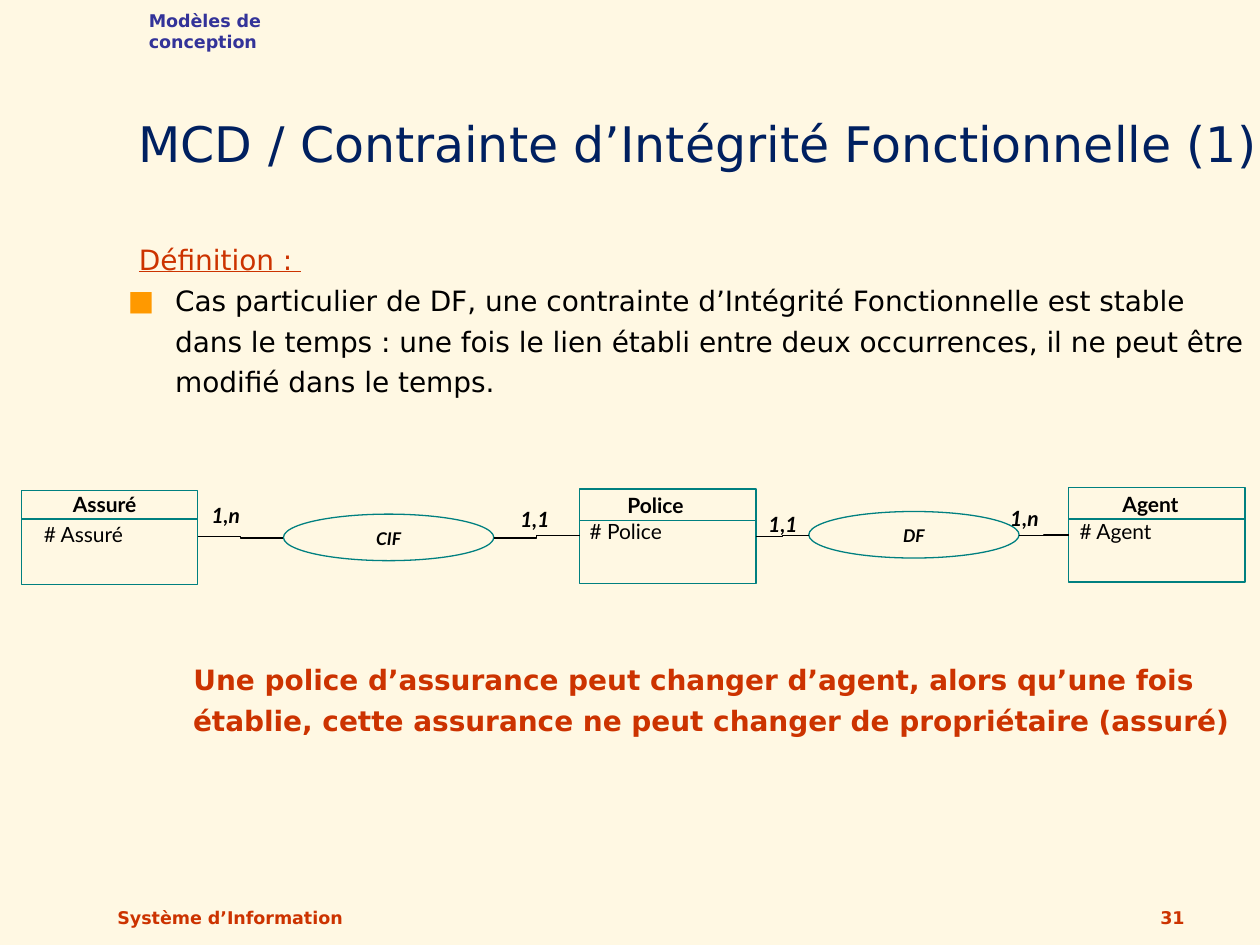
"""Build a slide on functional integrity constraints in a conceptual data model."""
from lxml.etree import SubElement
from pptx import Presentation
from pptx.dml.color import RGBColor
from pptx.enum.shapes import MSO_CONNECTOR as CXN, MSO_SHAPE as SHAPE
from pptx.enum.text import MSO_ANCHOR as ANCHOR, PP_ALIGN as ALIGN
from pptx.oxml.ns import qn
from pptx.util import Pt

C = {"bg": "FFF8E3", "red": "CC3300", "navy": "002060", "black": "000000",
     "violet": "333399", "teal": "008080", "orange": "FF9900"}
SANS, LATO = "DejaVu Sans", "Lato"


def write(p, text, size, color="black", font=SANS, bold=False, italic=False, align=None, spacing=None):
    r = p.add_run()
    r.text = text
    f = r.font
    f.name, f.size, f.bold, f.italic = font, Pt(size), bold, italic
    f.color.rgb = RGBColor.from_string(C[color])
    if align is not None:
        p.alignment = align
    if spacing:
        p.line_spacing = spacing
    return r


def box(x, y, w, h, anchor=ANCHOR.TOP):
    tf = s.shapes.add_textbox(Pt(x), Pt(y), Pt(w), Pt(h)).text_frame
    tf.word_wrap = True
    tf.vertical_anchor = anchor
    return tf


prs = Presentation()
prs.slide_width, prs.slide_height = Pt(720), Pt(540)
s = prs.slides.add_slide(prs.slide_layouts[6])
s.background.fill.solid()
s.background.fill.fore_color.rgb = RGBColor.from_string(C["bg"])

write(box(60, 498, 228, 36, ANCHOR.BOTTOM).paragraphs[0], "Système d’Information", 10, "red", bold=True)
write(box(534, 498, 150, 36, ANCHOR.BOTTOM).paragraphs[0], "31", 10, "red", bold=True, align=ALIGN.RIGHT)
write(box(72, 12, 671, 90, ANCHOR.BOTTOM).paragraphs[0],
      "MCD / Contrainte d’Intégrité Fonctionnelle (1)", 28, "navy")
write(box(78, 2.2, 141.8, 19.4).paragraphs[0], "Modèles de conception", 10, "violet", bold=True)

body = box(66, 126, 654, 150)
heading, definition = body.paragraphs[0], body.add_paragraph()
conclusion = box(66, 366, 654, 150).paragraphs[0]
for p in (heading, definition, conclusion):
    pPr = p._p.get_or_add_pPr()
    pPr.set("marL", str(Pt(27)))
    pPr.set("indent", str(Pt(-27)))
    p.line_spacing = 1.2
pPr = definition._p.get_or_add_pPr()
SubElement(SubElement(pPr, qn("a:buClr")), qn("a:srgbClr"), val=C["orange"])
SubElement(pPr, qn("a:buFont"), typeface=SANS)
SubElement(pPr, qn("a:buChar"), char="■")
write(heading, " ", 20)
write(heading, "Définition : ", 16, "red").font.underline = True
write(definition, "Cas particulier de DF, une contrainte d’Intégrité Fonctionnelle est stable dans le temps : "
      "une fois le lien établi entre deux occurrences, il ne peut être modifié dans le temps.", 16)
write(conclusion, " ", 20, bold=True)
write(conclusion, "Une police d’assurance peut changer d’agent, alors qu’une fois établie, "
      "cette assurance ne peut changer de propriétaire (assuré)", 16, "red", bold=True, align=ALIGN.CENTER)

entities = [("Assuré", 12.2, 280.1, 296.6, (34.6, 275.8, 54.7), (18, 293, 62.6)),
            ("Police", 331.2, 279.4, 297.4, (351.4, 276.5, 50.4), (329.8, 291.6, 57.6)),
            ("Agent", 610.6, 278.6, 296.6, (634.3, 275.8, 49.7), (609.8, 291.6, 58.3))]
shapes = [(SHAPE.RECTANGLE, x, y, 100.8, 54, "") for _, x, y, *_ in entities]
shapes += [(SHAPE.OVAL, 162, 293.8, 120.2, 26.6, "CIF"), (SHAPE.OVAL, 462.2, 292.3, 120.2, 26.6, "DF")]
for kind, x, y, w, h, name in shapes:
    sp = s.shapes.add_shape(kind, Pt(x), Pt(y), Pt(w), Pt(h))
    sp.shadow.inherit = False
    sp.fill.background()
    sp.line.color.rgb = RGBColor.from_string(C["teal"])
    sp.line.width = Pt(0.75)
    if name:
        write(sp.text_frame.paragraphs[0], name, 10, font=LATO, bold=True, italic=True,
              align=ALIGN.CENTER, spacing=1.1)

lines = [(CXN.STRAIGHT, x, y, x + 100.8, y, "teal") for _, x, _, y, *_ in entities]
lines += [(CXN.ELBOW, *ends, "black") for ends in (
    (162, 307.4, 113, 306.7), (282.2, 307.4, 331.2, 306),
    (462.2, 305.8, 432, 306.4), (582.4, 306, 610.6, 305.8))]
for kind, x1, y1, x2, y2, color in lines:
    cx = s.shapes.add_connector(kind, Pt(x1), Pt(y1), Pt(x2), Pt(y2))
    cx.line.color.rgb = RGBColor.from_string(C[color])
    cx.line.width = Pt(0.75)
    SubElement(cx._element.spPr, qn("a:effectLst"))

for name, _, _, _, title, key in entities:
    write(box(*title, 23).paragraphs[0], name, 12, font=LATO, bold=True, spacing=1.1)
    write(box(*key, 23).paragraphs[0], f"# {name}", 12, font=LATO, spacing=1.1)

for card, x, y in [("1,n", 113.8, 283.7), ("1,1", 290.2, 285.8), ("1,1", 432, 288.7), ("1,n", 570.2, 285.1)]:
    write(box(x, y, 35, 21.6).paragraphs[0], card, 12, font=LATO, bold=True, italic=True)

prs.save("out.pptx")
